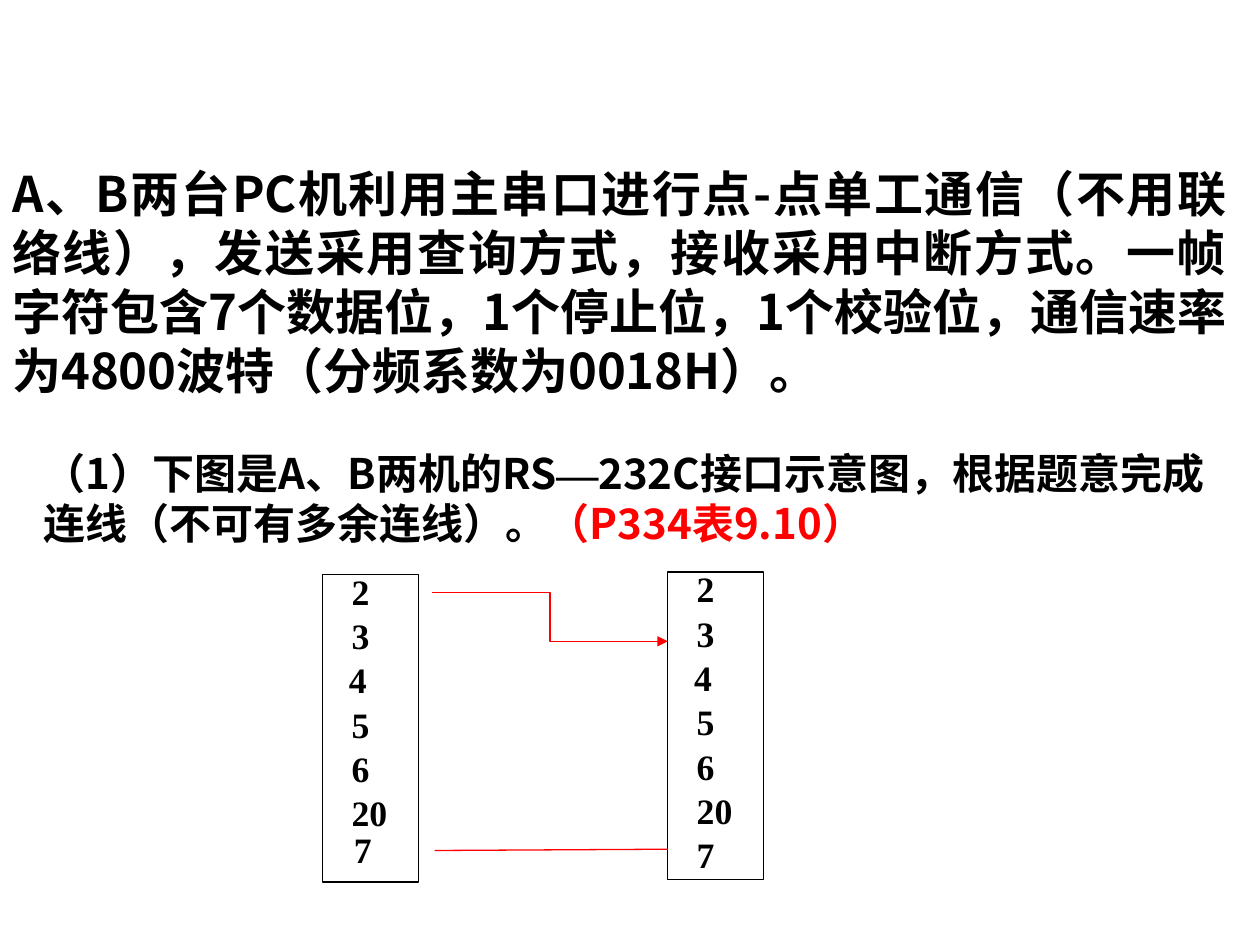
import pptx
import pptx.dml.color
import pptx.enum.shapes
import pptx.enum.text
import pptx.oxml.ns
import pptx.util
from lxml import etree

SANS, SERIF = "Noto Sans CJK SC", "Times New Roman"
BLACK, RED = "000000", "FF0000"
COLUMNS, ROWS = 100, 75


def color(hex_string):
    return pptx.dml.color.RGBColor.from_string(hex_string)


def add_tag(parent, tag, **attributes):
    return etree.SubElement(parent, pptx.oxml.ns.qn(tag), **attributes)


def write(paragraph, text, size=24, font=SANS, fill=BLACK, bold=True):
    run = paragraph.add_run()
    run.text = text
    run.font.size = pptx.util.Pt(size)
    run.font.bold = bold
    run.font.color.rgb = color(fill)
    run.font.name = font
    add_tag(run.font._element, "a:ea", typeface=font)


class Slide:
    """Holds the slide, its grid and the line style."""

    def __init__(self, deck, line_width=0.75):
        self.shapes = deck.slides.add_slide(deck.slide_layouts[6]).shapes
        self.column = deck.slide_width / COLUMNS
        self.row = deck.slide_height / ROWS
        self.line_width = pptx.util.Pt(line_width)

    def place(self, *lengths):
        """Turn alternating columns and rows into slide lengths."""
        return [round(n * (self.row if i % 2 else self.column))
                for i, n in enumerate(lengths)]

    def text(self, box, runs, margins=(1, 0.5), justify=False, before=0):
        frame = self.shapes.add_textbox(*self.place(*box)).text_frame
        frame.word_wrap = True
        side, top = self.place(*margins)
        frame.margin_left = frame.margin_right = side
        frame.margin_top = frame.margin_bottom = top
        paragraph = frame.paragraphs[0]
        paragraph.space_before = pptx.util.Pt(before)
        if justify:
            paragraph.alignment = pptx.enum.text.PP_ALIGN.JUSTIFY
        for words, style in runs:
            write(paragraph, words, **style)

    def frame(self, box):
        outline = self.shapes.add_shape(
            pptx.enum.shapes.MSO_SHAPE.RECTANGLE, *self.place(*box))
        outline.shadow.inherit = False
        outline.fill.background()
        outline.line.color.rgb = color(BLACK)
        outline.line.width = self.line_width

    def wire(self, ends, kind="STRAIGHT", arrow=False):
        wire = self.shapes.add_connector(
            pptx.enum.shapes.MSO_CONNECTOR[kind], *self.place(*ends))
        wire.line.color.rgb = color(RED)
        wire.line.width = self.line_width
        add_tag(wire._element.spPr, "a:effectLst")
        if arrow:
            add_tag(wire.line._get_or_add_ln(), "a:tailEnd", type="triangle")

    def port(self, left, top, pins, nudges):
        """Draw one serial port; nudges shift single pin labels."""
        self.frame((left, top, 7.6, 24.4))
        for i, pin in enumerate(pins):
            dx, dy = nudges.get(pin, (0, 0))
            self.text((left + 2.3 + dx, top - 0.4 + 3.52 * i + dy, 6.4, 3.5),
                      [(pin, dict(size=20.4, font=SERIF))],
                      margins=(0, 0), justify=True)


def main():
    deck = pptx.Presentation()
    deck.slide_width = pptx.util.Inches(10)
    deck.slide_height = pptx.util.Inches(7.5)
    slide = Slide(deck)

    # Problem statement and first question
    slide.text((0, 12.5, 98.3, 19.7), [
        ("A、B两台PC机利用主串口进行点-点单工通信（不用联络线），"
         "发送采用查询方式，接收采用中断方式。一帧字符包含7个数据位，"
         "1个停止位，1个校验位，通信速率为4800波特（分频系数为0018H）。",
         dict(size=28))], justify=True)
    slide.text((2.5, 35, 95, 15.1), [
        ("（1）下图是A、B两机的RS", {}),
        ("—", dict(font=SERIF)),
        ("232C接口示意图，根据题意完成连线（不可有多余连线）。", {}),
        ("（P334表9.10）", dict(fill=RED))], before=15)

    # Ports of machines A and B
    pins = ("2", "3", "4", "5", "6", "20", "7")
    slide.port(25.6, 45.6, pins, {"4": (-0.2, 0), "7": (0.2, -0.6)})
    slide.port(53, 45.4, pins, {"4": (-0.2, 0)})

    # Send-to-receive wire and common ground
    slide.wire((34.3, 47, 53, 50.9), kind="ELBOW", arrow=True)
    slide.wire((34.5, 67.5, 53, 67.4))

    deck.save("out.pptx")


if __name__ == "__main__":
    main()
